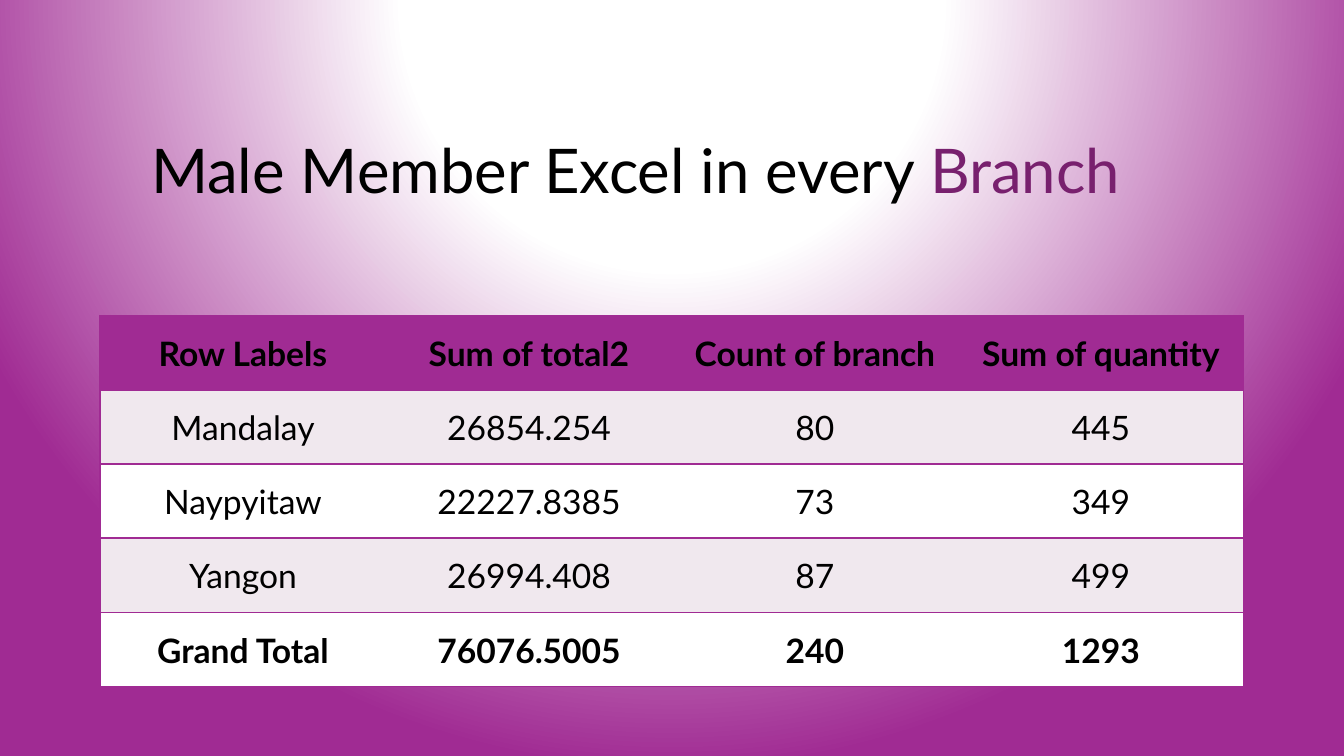
from lxml.etree import SubElement
from pptx import Presentation
from pptx.dml.color import RGBColor
from pptx.enum.text import MSO_ANCHOR, PP_ALIGN
from pptx.oxml import parse_xml
from pptx.oxml.ns import nsdecls, qn
from pptx.util import Pt

EMU_PER_PX = 12192000 / 1344
FONT = "Lato"
COLORS = {
    "text": "000000",
    "accent": "78206E",
    "purple": "A02B93",
    "band": "F0E8EE",
    "white": "FFFFFF",
}
NO_STYLE_ID = "{2D5ABB26-0587-4C30-8999-92F81FD0307C}"

TITLE_BOX = (141, 71, 1112, 141)
TITLE_PARTS = [("Male Member Excel in every ", "text"), ("Branch", "accent")]

TABLE_LEFT, TABLE_TOP = 100, 316
COLUMN_WIDTH = 286
ROW_HEIGHTS = [74, 74, 74, 75, 74]
ROW_FILLS = ["purple", "band", "white", "band", "white"]
BRANCH_ROWS = [
    ["Row Labels", "Sum of total2", "Count of branch", "Sum of quantity"],
    ["Mandalay", "26854.254", "80", "445"],
    ["Naypyitaw", "22227.8385", "73", "349"],
    ["Yangon", "26994.408", "87", "499"],
    ["Grand Total", "76076.5005", "240", "1293"],
]
CELL_FORMAT = {
    "vertical_anchor": MSO_ANCHOR.MIDDLE,
    "margin_left": Pt(0.75),
    "margin_right": Pt(0.75),
    "margin_top": Pt(0.75),
    "margin_bottom": 0,
}


def px(length):
    return round(length * EMU_PER_PX)


def rgb(name):
    return RGBColor.from_string(COLORS[name])


def set_format(target, values):
    for key, value in values.items():
        setattr(target, key, value)


def add_run(paragraph, text, size, color, bold=False):
    run = paragraph.add_run()
    run.text = text
    set_format(run.font, {"name": FONT, "size": Pt(size), "bold": bold})
    run.font.color.rgb = rgb(color)


def set_glow_background(slide):
    """Fill the background with a circular gradient centred above the slide."""
    stops = "".join(
        f'<a:gs pos="{percent * 1000}"><a:srgbClr val="{COLORS[color]}"/></a:gs>'
        for percent, color in [(0, "white"), (35, "white"), (100, "purple")]
    )
    background = parse_xml(
        f'<p:bg {nsdecls("p", "a")}><p:bgPr><a:gradFill rotWithShape="1">'
        f'<a:gsLst>{stops}</a:gsLst><a:path path="circle">'
        '<a:fillToRect l="50000" t="-80000" r="50000" b="180000"/></a:path>'
        '</a:gradFill><a:effectLst/></p:bgPr></p:bg>'
    )
    slide.element.cSld.insert(0, background)


def fill_title(title):
    box = dict(zip(("left", "top", "width", "height"), map(px, TITLE_BOX)))
    set_format(title, box)
    frame = title.text_frame
    set_format(frame, {"vertical_anchor": MSO_ANCHOR.BOTTOM, "word_wrap": True})
    paragraph = frame.paragraphs[0]
    set_format(paragraph, {"alignment": PP_ALIGN.LEFT, "line_spacing": 0.9})
    for text, color in TITLE_PARTS:
        add_run(paragraph, text, 44, color)


def add_borders(cell, sides):
    properties = cell._tc.get_or_add_tcPr()
    for position, side in enumerate(sides):
        line = properties.makeelement(qn(f"a:ln{side}"), {"w": str(Pt(1))})
        fill = SubElement(line, qn("a:solidFill"))
        SubElement(fill, qn("a:srgbClr"), val=COLORS["purple"])
        properties.insert(position, line)


def fill_cell(cell, text, fill, bold, border_sides):
    set_format(cell, CELL_FORMAT)
    cell.fill.solid()
    cell.fill.fore_color.rgb = rgb(fill)
    paragraph = cell.text_frame.paragraphs[0]
    paragraph.alignment = PP_ALIGN.CENTER
    add_run(paragraph, text, 24, "text", bold)
    add_borders(cell, border_sides)


def add_branch_table(slide):
    column_count = len(BRANCH_ROWS[0])
    table = slide.shapes.add_table(
        len(BRANCH_ROWS), column_count, px(TABLE_LEFT), px(TABLE_TOP),
        px(COLUMN_WIDTH * column_count), px(sum(ROW_HEIGHTS)),
    ).table
    set_format(table, {"first_row": False, "horz_banding": False})
    table._tbl.tblPr.find(qn("a:tableStyleId")).text = NO_STYLE_ID
    for column in table.columns:
        column.width = px(COLUMN_WIDTH)
    outer_sides = {0: ["L"], column_count - 1: ["R"]}
    last_row = len(BRANCH_ROWS) - 1
    for row_index, labels in enumerate(BRANCH_ROWS):
        table.rows[row_index].height = px(ROW_HEIGHTS[row_index])
        bold = row_index in (0, last_row)
        for column_index, label in enumerate(labels):
            sides = outer_sides.get(column_index, []) + ["T", "B"]
            fill_cell(table.cell(row_index, column_index), label,
                      ROW_FILLS[row_index], bold, sides)


def main():
    presentation = Presentation()
    set_format(presentation, {"slide_width": px(1344), "slide_height": px(756)})
    slide = presentation.slides.add_slide(presentation.slide_layouts[5])
    set_glow_background(slide)
    fill_title(slide.shapes.title)
    add_branch_table(slide)
    presentation.save("out.pptx")


if __name__ == "__main__":
    main()
